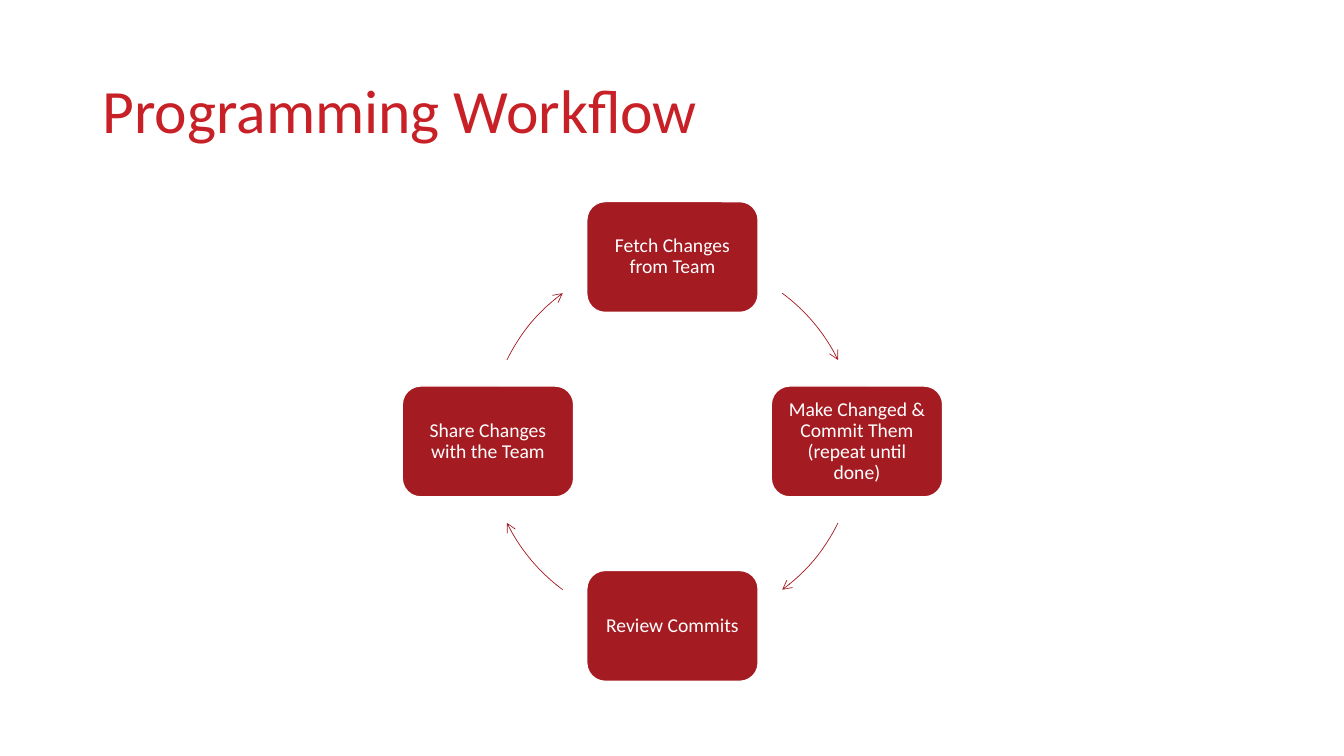
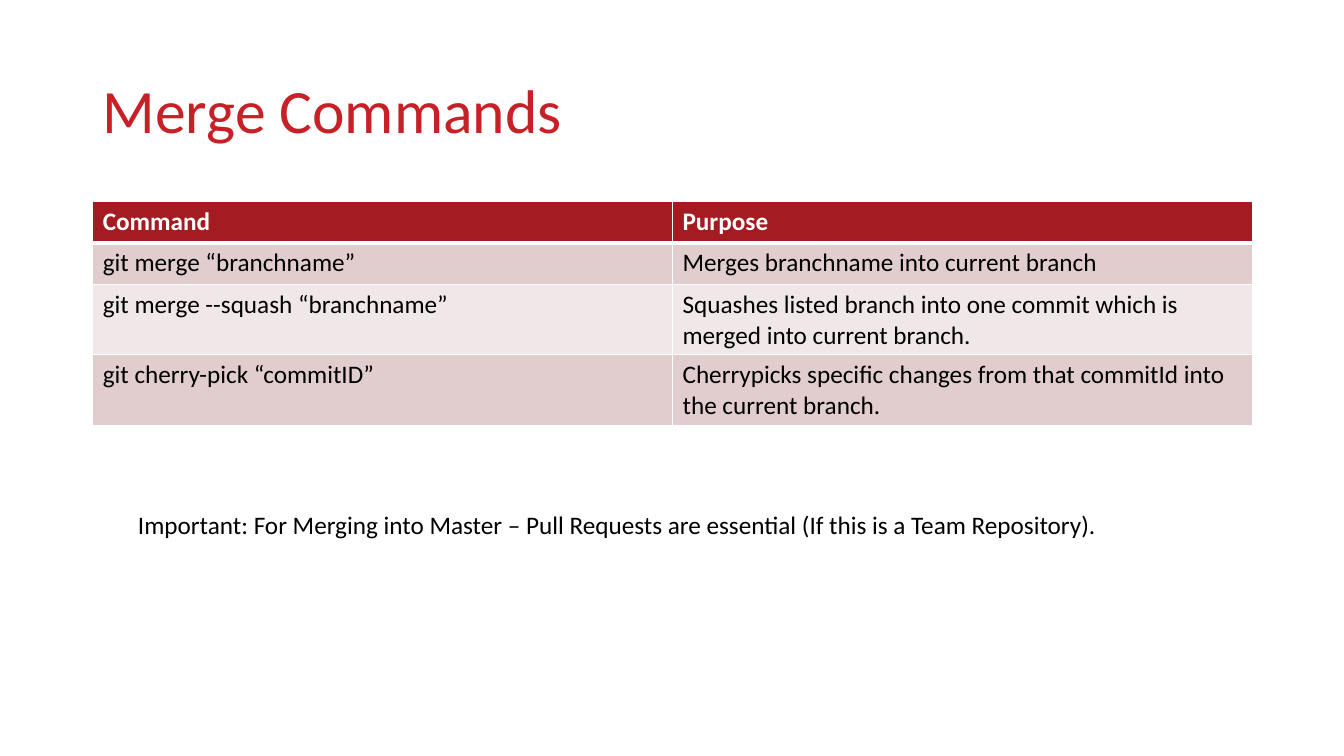
"""Build a two-slide deck on the team workflow and merge commands."""
from dataclasses import dataclass
from math import cos, radians, sin

from lxml.etree import SubElement
from pptx import Presentation
from pptx.dml.color import RGBColor
from pptx.enum.shapes import MSO_SHAPE
from pptx.enum.text import MSO_ANCHOR, PP_ALIGN
from pptx.oxml.ns import qn
from pptx.slide import Slide
from pptx.text.text import TextFrame
from pptx.util import Inches, Pt

FONT = "Calibri"
TITLE, RED, WHITE, BLACK = "C72027", "A51B22", "FFFFFF", "000000"
BANDS = ("E1CDCD", "F0E8E8")
MID_X, MID_Y, RADIUS = 6.67, 4.38, 1.83
NODE_W, NODE_H = 1.7, 1.1
SPAN = 27.3


@dataclass
class Node:
    text: str
    angle: int
    gap: float


@dataclass
class Style:
    size: float
    color: str
    bold: bool = False
    align: PP_ALIGN = PP_ALIGN.LEFT
    leading: float = 1.0


HEADING = Style(44, TITLE, leading=0.9)
LABEL = Style(14, WHITE, align=PP_ALIGN.CENTER, leading=0.9)
HEADER = Style(18, WHITE, bold=True)
BODY = Style(18, BLACK)

NODES = (
    Node("Fetch Changes from Team", 270, 36.5),
    Node("Make Changed & Commit Them (repeat until done)", 0, 26.2),
    Node("Review Commits", 90, 36.5),
    Node("Share Changes with the Team", 180, 26.2),
)
ROWS = (
    ("Command", "Purpose"),
    ("git merge “branchname”", "Merges branchname into current branch"),
    ("git merge --squash “branchname”",
     "Squashes listed branch into one commit which is merged into current branch."),
    ("git cherry-pick “commitID”",
     "Cherrypicks specific changes from that commitId into the current branch."),
)
NOTE = ("Important: For Merging into Master – Pull Requests are essential "
        "(If this is a Team Repository).")


def rgb(color: str) -> RGBColor:
    return RGBColor.from_string(color)


def write(frame: TextFrame, text: str, style: Style) -> None:
    para = frame.paragraphs[0]
    para.alignment = style.align
    para.line_spacing = style.leading
    run = para.add_run()
    run.text = text
    run.font.name = FONT
    run.font.size = Pt(style.size)
    run.font.bold = style.bold
    run.font.color.rgb = rgb(style.color)


def add_text(slide: Slide, text: str, style: Style, left: float, top: float,
             width: float, height: float) -> None:
    box = slide.shapes.add_textbox(Inches(left), Inches(top), Inches(width), Inches(height))
    frame = box.text_frame
    frame.word_wrap = True
    frame.vertical_anchor = MSO_ANCHOR.MIDDLE
    write(frame, text, style)


def add_slide(deck: Presentation, title: str) -> Slide:
    slide = deck.slides.add_slide(deck.slide_layouts[6])
    add_text(slide, title, HEADING, 0.92, 0.4, 9.88, 1.45)
    return slide


def add_node(slide: Slide, node: Node) -> None:
    turn = radians(node.angle)
    left = MID_X + RADIUS * cos(turn) - NODE_W / 2
    top = MID_Y + RADIUS * sin(turn) - NODE_H / 2
    box = slide.shapes.add_shape(MSO_SHAPE.ROUNDED_RECTANGLE, Inches(left), Inches(top),
                                 Inches(NODE_W), Inches(NODE_H))
    box.shadow.inherit = False
    box.fill.solid()
    box.fill.fore_color.rgb = rgb(RED)
    box.line.color.rgb = rgb(WHITE)
    box.line.width = Pt(1)
    frame = box.text_frame
    frame.word_wrap = True
    frame.vertical_anchor = MSO_ANCHOR.MIDDLE
    frame.margin_left = frame.margin_right = Inches(0.06)
    frame.margin_top = frame.margin_bottom = Inches(0.06)
    write(frame, node.text, LABEL)


def add_arc(slide: Slide, node: Node) -> None:
    side = Inches(2 * RADIUS)
    arc = slide.shapes.add_shape(MSO_SHAPE.ARC, Inches(MID_X - RADIUS),
                                 Inches(MID_Y - RADIUS), side, side)
    start = node.angle + node.gap
    for index, angle in enumerate((start, start + SPAN)):
        arc.adjustments[index] = angle * 0.6
    arc.shadow.inherit = False
    arc.fill.background()
    arc.line.color.rgb = rgb(RED)
    arc.line.width = Pt(0.5)
    line = arc._element.spPr.find(qn("a:ln"))
    SubElement(line, qn("a:tailEnd"), type="arrow")


def add_edges(cell, top: float, bottom: float) -> None:
    props = cell._tc.get_or_add_tcPr()
    for edge, width in (("L", 1), ("R", 1), ("T", top), ("B", bottom)):
        line = SubElement(props, qn(f"a:ln{edge}"), w=str(Pt(width)))
        fill = SubElement(line, qn("a:solidFill"))
        SubElement(fill, qn("a:srgbClr"), val=WHITE)


def add_grid(slide: Slide) -> None:
    height = 0.41
    table = slide.shapes.add_table(len(ROWS), 2, Inches(0.92), Inches(2), Inches(11.5),
                                   Inches(height * len(ROWS))).table
    for row, texts in enumerate(ROWS):
        table.rows[row].height = Inches(height)
        for col, text in enumerate(texts):
            cell = table.cell(row, col)
            add_edges(cell, 3 if row == 1 else 1, 3 if row == 0 else 1)
            cell.fill.solid()
            cell.fill.fore_color.rgb = rgb(BANDS[(row - 1) % 2] if row else RED)
            write(cell.text_frame, text, BODY if row else HEADER)


def main() -> None:
    deck = Presentation()
    deck.slide_width, deck.slide_height = Inches(13.33), Inches(7.5)
    flow = add_slide(deck, "Programming Workflow")
    for node in NODES:
        add_node(flow, node)
        add_arc(flow, node)
    merge = add_slide(deck, "Merge Commands")
    add_grid(merge)
    add_text(merge, NOTE, BODY, 1.27, 5, 10.12, 0.4)
    deck.save("out.pptx")


if __name__ == "__main__":
    main()
